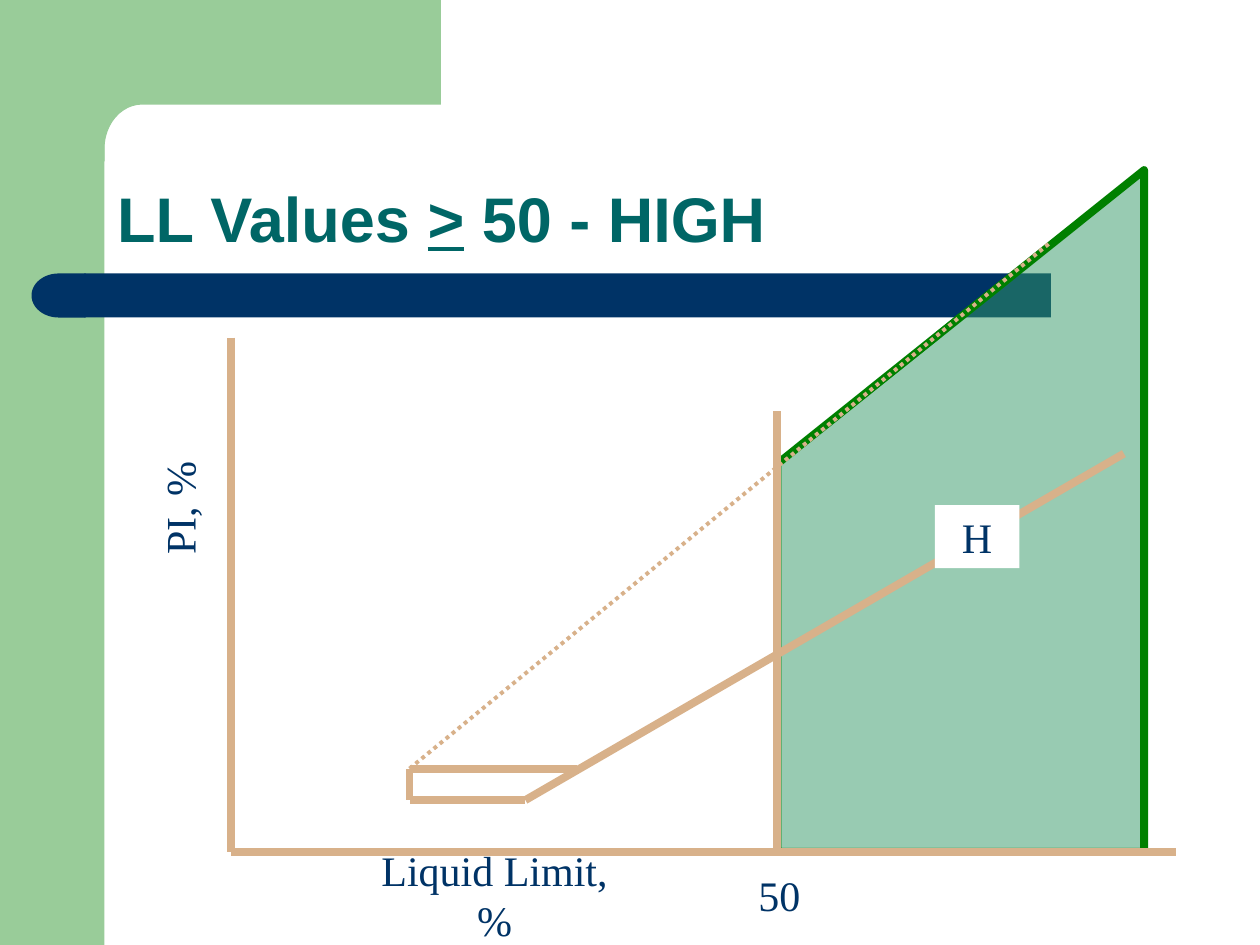
from math import cos, pi, sin

from lxml.etree import SubElement
from pptx import Presentation
from pptx.dml.color import RGBColor
from pptx.enum.dml import MSO_LINE
from pptx.enum.shapes import MSO_CONNECTOR, MSO_SHAPE
from pptx.enum.text import MSO_ANCHOR, MSO_AUTO_SIZE, PP_ALIGN
from pptx.oxml.ns import qn
from pptx.util import Inches, Pt

GREEN, NAVY, TAN = "99CC99", "003366", "D8B18A"
LABEL_FONT = {"name": "Times New Roman", "size": Pt(24)}
TITLE_FONT = {"name": "Arial", "size": Pt(36), "bold": True}
LEFT, BASE, LIMIT, RIGHT = 1.83, 6.76, 6.17, 9.08
LOW, HIGH, START = 6.35, 6.1, 3.25


def color(value):
    """Turn a hex string into a colour."""
    return RGBColor.from_string(value)


def set_values(target, values):
    """Set attributes from a dict of format values."""
    for name, value in values.items():
        setattr(target, name, value)


def paint(shape, fill):
    """Give a shape a plain fill without outline or shadow."""
    shape.shadow.inherit = False
    shape.fill.solid()
    shape.fill.fore_color.rgb = color(fill)
    shape.line.fill.background()


def add_block(page, kind, bounds, fill):
    """Add a filled preset shape."""
    block = page.shapes.add_shape(kind, *map(Inches, bounds))
    paint(block, fill)
    return block


def add_outline(page, points, fill):
    """Add a closed polygon through points given in inches."""
    corners = [(Inches(x), Inches(y)) for x, y in points]
    builder = page.shapes.build_freeform(*corners[0])
    builder.add_line_segments(corners[1:], close=True)
    outline = builder.convert_to_shape()
    paint(outline, fill)
    return outline


def add_frame(page):
    """Add the green side, its rounded corner and the navy title bar."""
    add_block(page, MSO_SHAPE.RECTANGLE, (0, 0, 0.83, 7.5), GREEN)
    angles = [pi / 2 * (1 - step / 12) for step in range(13)]
    curve = [(1.13 - 0.3 * cos(a), 1.18 - 0.35 * sin(a)) for a in angles]
    corner = [(3.5, 0), (3.5, 0.83), *curve, (0.83, 1.28), (0.5, 1.28), (0.5, 0)]
    add_outline(page, corner, GREEN)
    add_block(page, MSO_SHAPE.RECTANGLE, (0.67, 2.17, 7.67, 0.35), NAVY)
    cap = add_block(page, MSO_SHAPE.FLOWCHART_DELAY, (0.25, 2.17, 0.43, 0.35), NAVY)
    cap.rotation = 180


def add_high_zone(page):
    """Add the translucent zone right of the liquid limit of 50."""
    points = [(LIMIT, BASE), (LIMIT, 3.68), (RIGHT, 1.35), (RIGHT, BASE)]
    zone = add_outline(page, points, "339966")
    fill = zone.element.spPr.find(qn("a:solidFill"))
    SubElement(fill[0], qn("a:alpha"), val="50000")
    zone.line.color.rgb = color("008000")
    zone.line.width = Pt(4.5)


def add_title(page):
    """Fill the title placeholder and bring it in front of the frame."""
    title = page.shapes.title
    title.element.getparent().append(title.element)
    bounds = map(Inches, (0.83, 0.83, 8.67, 1.25))
    set_values(title, dict(zip(("left", "top", "width", "height"), bounds)))
    title.text_frame.vertical_anchor = MSO_ANCHOR.BOTTOM
    para = title.text_frame.paragraphs[0]
    set_values(para, {"alignment": PP_ALIGN.LEFT, "line_spacing": 0.9})
    for text, underline in (("LL Values ", False), (">", True), (" 50 - HIGH", False)):
        span = para.add_run()
        span.text = text
        set_values(span.font, TITLE_FONT | {"underline": underline})
        span.font.color.rgb = color("006666")


def add_line(page, start, end, width=4.5, dash=None):
    """Add a tan line between two points."""
    ends = map(Inches, (*start, *end))
    line = page.shapes.add_connector(MSO_CONNECTOR.STRAIGHT, *ends)
    SubElement(line.element.spPr, qn("a:effectLst"))
    line.line.color.rgb = color(TAN)
    line.line.width = Pt(width)
    if dash:
        line.line.dash_style = dash


def write_label(box, text, wrap=False):
    """Write centred label text into a box that fits it."""
    frame = box.text_frame
    set_values(frame, {
        "vertical_anchor": MSO_ANCHOR.MIDDLE,
        "word_wrap": wrap,
        "auto_size": MSO_AUTO_SIZE.SHAPE_TO_FIT_TEXT,
    })
    para = frame.paragraphs[0]
    para.alignment = PP_ALIGN.CENTER
    span = para.add_run()
    span.text = text
    set_values(span.font, LABEL_FONT)
    span.font.color.rgb = color(NAVY)


def add_label(page, text, bounds, rotation=0):
    """Add a text label."""
    box = page.shapes.add_textbox(*map(Inches, bounds))
    box.rotation = rotation
    write_label(box, text)


def main():
    """Build the plasticity chart slide."""
    deck = Presentation()
    set_values(deck, {"slide_width": Inches(10), "slide_height": Inches(7.5)})
    page = deck.slides.add_slide(deck.slide_layouts[5])
    add_frame(page)
    add_high_zone(page)
    add_title(page)
    for start, end in (
        ((LEFT, 2.68), (LEFT, BASE)),
        ((LEFT, BASE), (9.33, BASE)),
        ((START, HIGH), (4.58, HIGH)),
        ((4.17, LOW), (8.92, 3.6)),
        ((START, LOW), (4.17, LOW)),
        ((START, HIGH), (START, LOW)),
        ((LIMIT, BASE), (LIMIT, 3.26)),
    ):
        add_line(page, start, end)
    add_line(page, (START, HIGH), (8.33, 1.93), 2.25, MSO_LINE.ROUND_DOT)
    add_label(page, "Liquid Limit, %", (2.75, 6.85, 2.35, 0.5))
    add_label(page, "PI, %", (0.95, 3.78, 0.94, 0.5), 270)
    add_label(page, "50", (5.92, 6.85, 0.53, 0.5))
    tag = add_block(page, MSO_SHAPE.RECTANGLE, (7.42, 4.01, 0.67, 0.5), "FFFFFF")
    write_label(tag, "H", wrap=True)
    deck.save("out.pptx")


if __name__ == "__main__":
    main()
